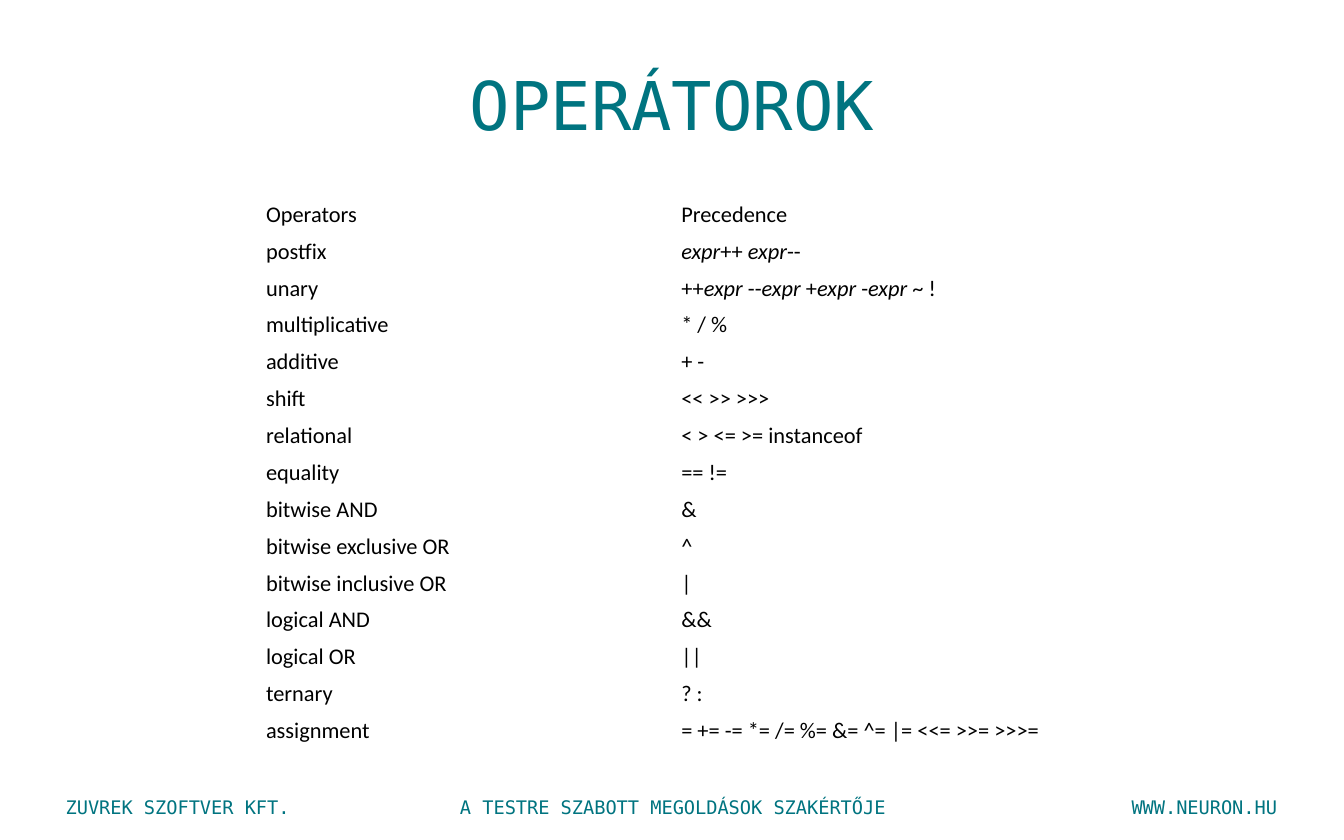
"""Build the slide that lists operators by precedence."""
from typing import NamedTuple

from pptx import Presentation
from pptx.dml.color import RGBColor
from pptx.enum.text import MSO_ANCHOR as Anchor, PP_ALIGN as Align
from pptx.util import Inches, Pt

TEAL, BLACK = "007480", "000000"
MONO, SANS = "DejaVu Sans Mono", "Calibri"
OPERAND = "expr"
ROW_HEIGHT, COL_WIDTH = 4.12 / 15, 3.09


class Footer(NamedTuple):
    text: str
    left: float
    width: float
    align: Align


class Operator(NamedTuple):
    name: str
    symbols: str


FOOTERS = [
    Footer("ZUVREK SZOFTVER KFT.", 0.39, 2.36, Align.LEFT),
    Footer("WWW.NEURON.HU", 7.24, 2.36, Align.RIGHT),
    Footer("A TESTRE SZABOTT MEGOLDÁSOK SZAKÉRTŐJE", 3.31, 3.39, Align.CENTER),
]

OPERATORS = [
    Operator("Operators", "Precedence"),
    Operator("postfix", "expr++ expr--"),
    Operator("unary", "++expr --expr +expr -expr ~ !"),
    Operator("multiplicative", "* / %"),
    Operator("additive", "+ -"),
    Operator("shift", "<< >> >>>"),
    Operator("relational", "< > <= >= instanceof"),
    Operator("equality", "== !="),
    Operator("bitwise AND", "&"),
    Operator("bitwise exclusive OR", "^"),
    Operator("bitwise inclusive OR", "|"),
    Operator("logical AND", "&&"),
    Operator("logical OR", "||"),
    Operator("ternary", "? :"),
    Operator("assignment", "= += -= *= /= %= &= ^= |= <<= >>= >>>="),
]


def set_attrs(obj, values: dict) -> None:
    """Set each named attribute on the object."""
    for name, value in values.items():
        setattr(obj, name, value)


def rgb(color: str) -> RGBColor:
    """Turn a hex string into a colour."""
    return RGBColor.from_string(color)


def add_run(p, text: str, font: str, size: float, color: str, italic: bool = False) -> None:
    """Append a formatted run to the paragraph."""
    r = p.add_run()
    r.text = text
    set_attrs(r.font, {"name": font, "size": Pt(size), "bold": False, "italic": italic})
    r.font.color.rgb = rgb(color)


def add_title(s, text: str) -> None:
    """Place and fill the title placeholder."""
    sp = s.shapes.title
    set_attrs(sp, {"left": Inches(0.5), "top": Inches(0.25),
                   "width": Inches(9), "height": Inches(1.04)})
    sp.text_frame.vertical_anchor = Anchor.MIDDLE
    p = sp.text_frame.paragraphs[0]
    p.alignment = Align.CENTER
    add_run(p, text, MONO, 36, TEAL)


def add_footer(s, footer: Footer) -> None:
    """Draw one text of the footer line."""
    sp = s.shapes.add_textbox(Inches(footer.left), Inches(5.87),
                              Inches(footer.width), Inches(0.27))
    sp.text_frame.word_wrap = True
    p = sp.text_frame.paragraphs[0]
    p.alignment = footer.align
    add_run(p, footer.text, MONO, 10, TEAL)


def fill_cell(cell, text: str) -> None:
    """Write the cell text with every operand in italics."""
    cell.fill.background()
    set_attrs(cell, {"vertical_anchor": Anchor.MIDDLE,
                     "margin_left": Inches(0.07), "margin_right": Inches(0.07),
                     "margin_top": Inches(0.03), "margin_bottom": Inches(0.03)})
    p = cell.text_frame.paragraphs[0]
    for i, part in enumerate(text.split(OPERAND)):
        if i:
            add_run(p, OPERAND, SANS, 12, BLACK, italic=True)
        if part:
            add_run(p, part, SANS, 12, BLACK)


def add_operator_table(s, operators: list[Operator]) -> None:
    """Draw the table with one row per operator group."""
    count = len(operators)
    table = s.shapes.add_table(count, 2, Inches(1.91), Inches(1.46),
                               Inches(2 * COL_WIDTH), Inches(count * ROW_HEIGHT)).table
    set_attrs(table, {"first_row": False, "horz_banding": False})
    for col in table.columns:
        col.width = Inches(COL_WIDTH)
    for row, operator in zip(table.rows, operators):
        row.height = Inches(ROW_HEIGHT)
        for cell, text in zip(row.cells, operator):
            fill_cell(cell, text)


def main() -> None:
    """Build and save the presentation."""
    prs = Presentation()
    set_attrs(prs, {"slide_width": Inches(10), "slide_height": Inches(6.25)})
    s = prs.slides.add_slide(prs.slide_layouts[5])
    for footer in FOOTERS:
        add_footer(s, footer)
    add_title(s, "OPERÁTOROK")
    add_operator_table(s, OPERATORS)
    prs.save("out.pptx")


if __name__ == "__main__":
    main()
